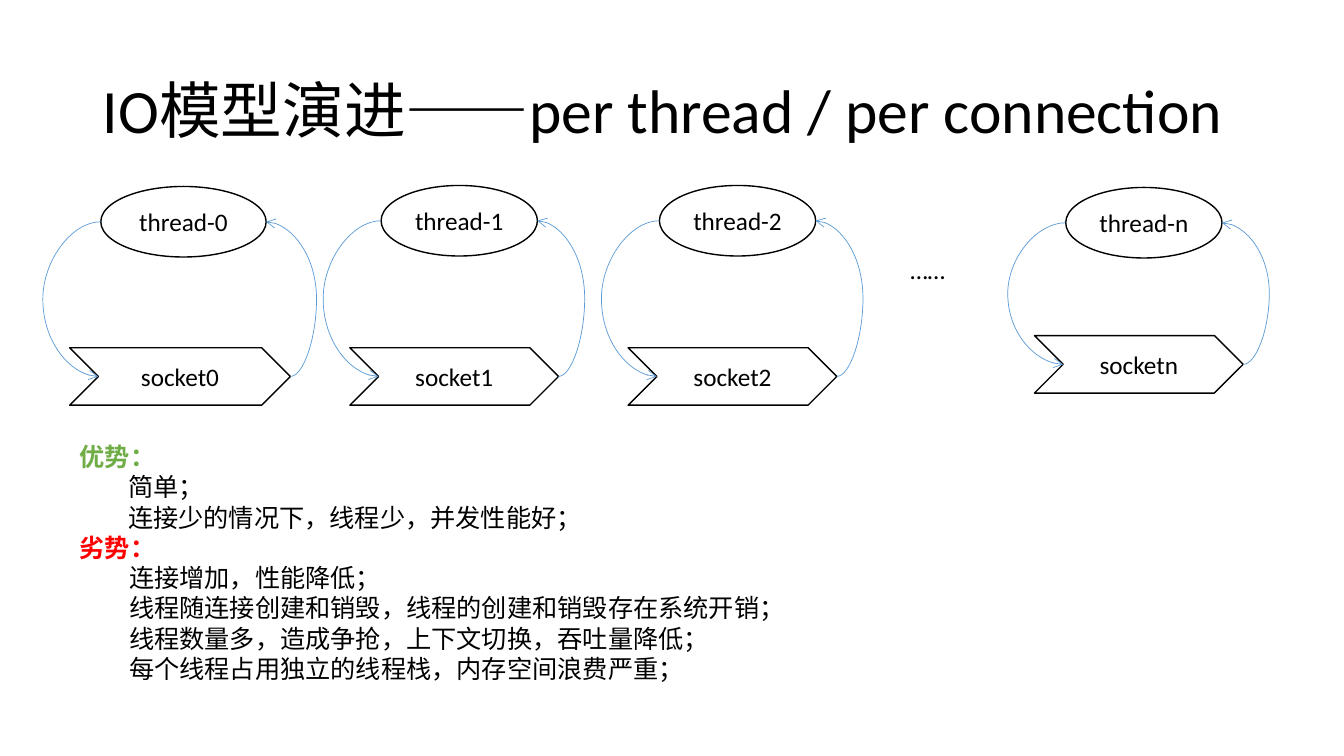
from pptx import Presentation
from pptx.dml.color import RGBColor
from pptx.enum.lang import MSO_LANGUAGE_ID as LANG
from pptx.enum.shapes import MSO_CONNECTOR as CONNECTOR, MSO_SHAPE as SHAPE
from pptx.enum.text import MSO_ANCHOR as ANCHOR, MSO_AUTO_SIZE as AUTO, PP_ALIGN as ALIGN
from pptx.oxml.ns import qn
from pptx.util import Inches, Pt
from lxml.etree import SubElement

BLACK = RGBColor(0x00, 0x00, 0x00)
WHITE = RGBColor(0xFF, 0xFF, 0xFF)
BLUE = RGBColor(0x5B, 0x9B, 0xD5)
GREEN = RGBColor(0x70, 0xAD, 0x47)
RED = RGBColor(0xFF, 0x00, 0x00)

TITLE = "IO模型演进——per thread / per connection"
THREADS = [
    ("0", 1.0, 1.85, 1.64, 3.45, 2.19),
    ("1", 3.78, 1.84, 1.55, 3.45, 2.07),
    ("2", 6.54, 1.84, 1.55, 3.45, 2.07),
    ("n", 10.57, 1.86, 1.55, 3.33, 2.07),
]
SECTIONS = [
    ("优势：", GREEN, 0.48, ["简单；", "连接少的情况下，线程少，并发性能好；"]),
    ("劣势：", RED, 0.49, [
        "连接增加，性能降低；",
        "线程随连接创建和销毁，线程的创建和销毁存在系统开销；",
        "线程数量多，造成争抢，上下文切换，吞吐量降低；",
        "每个线程占用独立的线程栈，内存空间浪费严重；",
    ]),
]
OVAL_H, SOCKET_H = 0.7, 0.57


class SlideBuilder:
    """Hold the style and the current slide, and draw its elements."""

    def __init__(self, slide, font="Calibri", size=18):
        self.slide, self.font, self.size = slide, font, size

    def run(self, p, text, color=BLACK, size=None, bold=False):
        """Add one styled run to a paragraph."""
        r = p.add_run()
        r.text = text
        r.font.name = self.font
        r.font.size = Pt(size or self.size)
        r.font.bold = bold
        r.font.color.rgb = color
        r.font.language_id = LANG.SIMPLIFIED_CHINESE

    def place(self, sp, x, y, w, h, anchor):
        """Move a placeholder and return its text frame."""
        sp.left, sp.top, sp.width, sp.height = map(Inches, (x, y, w, h))
        tf = sp.text_frame
        tf.auto_size = AUTO.NONE
        tf.word_wrap = True
        tf.vertical_anchor = anchor
        return tf

    def title(self, text, *box):
        """Fill the title placeholder."""
        p = self.place(self.slide.shapes.title, *box, ANCHOR.MIDDLE).paragraphs[0]
        p.alignment = ALIGN.LEFT
        p.line_spacing = 0.9
        self.run(p, text, size=44)

    def body(self, sections, *box):
        """Fill the body placeholder with headed, indented lines."""
        tf = self.place(self.slide.placeholders[1], *box, ANCHOR.TOP)
        lines = []
        for heading, color, indent, items in sections:
            lines.append((heading, color, 0, True))
            lines += [(item, BLACK, indent, False) for item in items]
        for i, (text, color, indent, bold) in enumerate(lines):
            p = tf.add_paragraph() if i else tf.paragraphs[0]
            pPr = p._p.get_or_add_pPr()
            pPr.set("marL", "0")
            pPr.set("indent", str(Inches(indent)))
            SubElement(pPr, qn("a:buNone"))
            p.space_before = Pt(0)
            self.run(p, text, color, bold=bold)

    def node(self, kind, text, x, y, w, h):
        """Draw an outlined shape with a centred label."""
        sp = self.slide.shapes.add_shape(kind, *map(Inches, (x, y, w, h)))
        sp.shadow.inherit = False
        sp.fill.solid()
        sp.fill.fore_color.rgb = WHITE
        sp.line.color.rgb = BLACK
        sp.line.width = Pt(1)
        tf = sp.text_frame
        tf.word_wrap = True
        tf.vertical_anchor = ANCHOR.MIDDLE
        p = tf.paragraphs[0]
        p.alignment = ALIGN.CENTER
        self.run(p, text)

    def curve(self, x1, y1, x2, y2, via):
        """Draw a curved arrow that bulges out to the given x."""
        cx = self.slide.shapes.add_connector(
            CONNECTOR.CURVE, *map(Inches, (x1, y1, x2, y2)))
        cx.line.color.rgb = BLUE
        cx.line.width = Pt(0.5)
        spPr = cx._element.spPr
        geom = spPr.find(qn("a:prstGeom"))
        av = geom.find(qn("a:avLst"))
        if av is None:
            av = SubElement(geom, qn("a:avLst"))
        ratio = round((via - x1) / (x2 - x1) * 100000)
        SubElement(av, qn("a:gd"), name="adj1", fmla=f"val {ratio}")
        SubElement(spPr.find(qn("a:ln")), qn("a:tailEnd"), type="arrow")
        SubElement(spPr, qn("a:effectLst"))

    def label(self, text, x, y, w, h):
        """Add a plain text box."""
        tf = self.slide.shapes.add_textbox(*map(Inches, (x, y, w, h))).text_frame
        tf.word_wrap = True
        self.run(tf.paragraphs[0], text)

    def thread(self, name, x, y, w, socket_y, socket_w):
        """Draw a thread, its socket and the loop between them."""
        socket_x = x - 0.31
        socket_right = socket_x + socket_w
        mid, socket_mid = y + OVAL_H / 2, socket_y + SOCKET_H / 2
        self.node(SHAPE.OVAL, f"thread-{name}", x, y, w, OVAL_H)
        self.node(SHAPE.CHEVRON, f"socket{name}", socket_x, socket_y, socket_w, SOCKET_H)
        self.curve(x, mid, socket_x + SOCKET_H / 2, socket_mid, x - 0.57)
        self.curve(socket_right, socket_mid, x + w, mid, socket_right + 0.26)


def main():
    """Build and save the slide."""
    prs = Presentation()
    prs.slide_width, prs.slide_height = Inches(13.33), Inches(7.5)
    s = SlideBuilder(prs.slides.add_slide(prs.slide_layouts[1]))
    s.title(TITLE, 0.92, 0.4, 11.5, 1.45)
    for thread in THREADS:
        s.thread(*thread)
    s.label("……", 8.93, 2.47, 0.84, 0.4)
    s.body(SECTIONS, 0.69, 4.33, 12.22, 2.52)
    prs.save("out.pptx")


if __name__ == "__main__":
    main()
